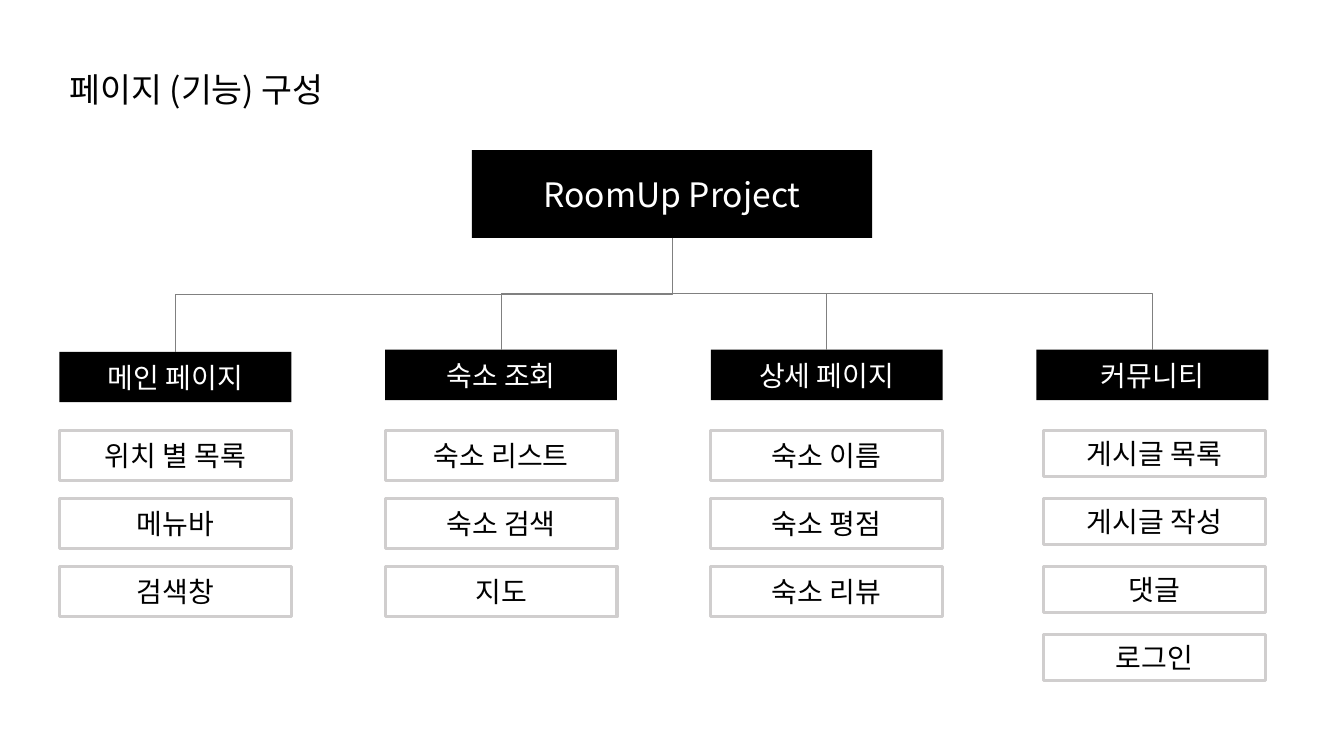
from lxml.etree import SubElement
from pptx import Presentation
from pptx.dml.color import RGBColor as RGB
from pptx.enum.shapes import MSO_CONNECTOR as LINK, MSO_SHAPE as FORM
from pptx.enum.text import MSO_ANCHOR as ANCHOR, MSO_AUTO_SIZE as AUTO, PP_ALIGN as ALIGN
from pptx.oxml.ns import qn
from pptx.util import Inches, Pt

TITLE = "페이지 (기능) 구성"
ROOT = "RoomUp Project"
# page name, top of its head, (left inset, width, height) of its items, items
PAGES = [
    ("메인 페이지", 3.49, (0, 2.3, 0.5), ["위치 별 목록", "메뉴바", "검색창"]),
    ("숙소 조회", 3.47, (0, 2.3, 0.5), ["숙소 리스트", "숙소 검색", "지도"]),
    ("상세 페이지", 3.47, (0, 2.3, 0.5), ["숙소 이름", "숙소 평점", "숙소 리뷰"]),
    ("커뮤니티", 3.47, (0.07, 2.2, 0.46), ["게시글 목록", "게시글 작성", "댓글", "로그인"]),
]
FONT = "Noto Sans CJK KR"
COLORS = {"black": "000000", "white": "FFFFFF", "edge": "D0CECE", "link": "808080"}

LEFT, STEP = 0.59, 3.23
HEAD_W, HEAD_H = 2.3, 0.5
ITEM_TOP, ITEM_STEP = 4.27, 0.675
ROOT_BOX = (4.68, 1.49, 3.97, 0.87)
ROOT_X, ROOT_END = 6.67, 2.36


def color(name):
    return RGB.from_string(COLORS[name])


def write(shape, text, size=20, ink="black", align=ALIGN.CENTER,
          anchor=ANCHOR.MIDDLE, spacing=None):
    frame = shape.text_frame
    frame.word_wrap = True
    frame.vertical_anchor = anchor
    para = frame.paragraphs[0]
    para.alignment = align
    para.line_spacing = spacing
    run = para.add_run()
    run.text = text
    run.font.size = Pt(size)
    run.font.name = FONT
    run.font.color.rgb = color(ink)
    SubElement(run.font._element, qn("a:ea"), typeface=FONT)


def add_box(slide, box, text, fill=None, edge=None, **form):
    shape = slide.shapes.add_shape(FORM.RECTANGLE, *map(Inches, box))
    shape.shadow.inherit = False
    if fill:
        shape.fill.solid()
        shape.fill.fore_color.rgb = color(fill)
    else:
        shape.fill.background()
    if edge:
        shape.line.color.rgb = color(edge)
        shape.line.width = Pt(2.25)
    else:
        shape.line.fill.background()
    write(shape, text, **form)


def add_link(slide, x, y):
    """Join the root to a head with an elbow turned to leave downwards."""
    mid_x, mid_y = (ROOT_X + x) / 2, (ROOT_END + y) / 2
    half_w, half_h = (y - ROOT_END) / 2, abs(x - ROOT_X) / 2
    right = x > ROOT_X
    if right:
        half_w = -half_w  # a reversed span flips the elbow
    ends = (mid_x - half_w, mid_y - half_h, mid_x + half_w, mid_y + half_h)
    link = slide.shapes.add_connector(LINK.ELBOW, *map(Inches, ends))
    link.line.color.rgb = color("link")
    link.line.width = Pt(0.5)
    props = link._element.spPr
    props.find(qn("a:xfrm")).set("rot", str((270 if right else 90) * 60000))
    SubElement(props, qn("a:effectLst"))


def main():
    deck = Presentation()
    deck.slide_width, deck.slide_height = Inches(13.33), Inches(7.5)
    slide = deck.slides.add_slide(deck.slide_layouts[6])

    title = slide.shapes.add_textbox(*map(Inches, (LEFT, 0.43, 6.67, 0.63)))
    write(title, TITLE, size=24, align=ALIGN.LEFT, anchor=ANCHOR.TOP, spacing=1.5)
    title.text_frame.auto_size = AUTO.SHAPE_TO_FIT_TEXT
    add_box(slide, ROOT_BOX, ROOT, fill="black", size=24, ink="white")

    for col, (name, top, (inset, width, height), items) in enumerate(PAGES):
        left = LEFT + col * STEP
        add_box(slide, (left, top, HEAD_W, HEAD_H), name, fill="black", ink="white")
        add_link(slide, left + HEAD_W / 2, top)
        for row, item in enumerate(items):
            box = (left + inset, ITEM_TOP + row * ITEM_STEP, width, height)
            add_box(slide, box, item, edge="edge")

    deck.save("out.pptx")


if __name__ == "__main__":
    main()
